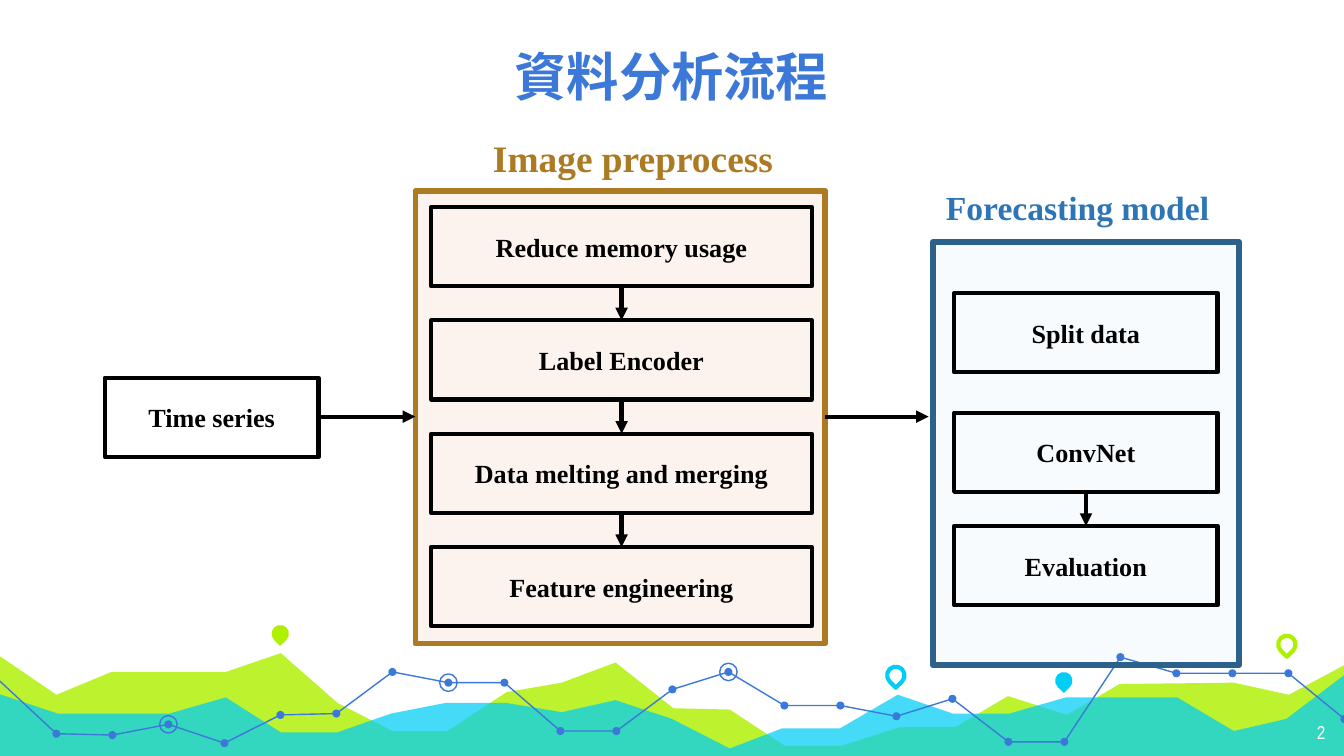
"""Build the data analysis workflow slide."""
from lxml import etree
from pptx import Presentation
from pptx.dml.color import RGBColor
from pptx.enum.shapes import MSO_CONNECTOR, MSO_SHAPE
from pptx.enum.text import MSO_ANCHOR, PP_ALIGN
from pptx.oxml.ns import qn
from pptx.util import Inches, Pt

RECT, OVAL, DROP = MSO_SHAPE.RECTANGLE, MSO_SHAPE.OVAL, MSO_SHAPE.TEAR
STRAIGHT = MSO_CONNECTOR.STRAIGHT
LEFT, CENTER, RIGHT = PP_ALIGN.LEFT, PP_ALIGN.CENTER, PP_ALIGN.RIGHT
TOP, MIDDLE, BOTTOM = MSO_ANCHOR.TOP, MSO_ANCHOR.MIDDLE, MSO_ANCHOR.BOTTOM

THEME = {
    "black": "000000", "white": "FFFFFF", "blue": "3C78D8",
    "lime": "AFF000", "cyan": "00CEF6",
    "gold": "AB7A22", "gold_tint": "E5774B",
    "navy": "2B618B", "navy_tint": "40A0F0", "model": "2E75B6",
    "cjk": "Noto Sans CJK SC", "serif": "Times New Roman", "narrow": "Arial Narrow",
    "title": 28, "head": 20, "subhead": 18, "body": 14, "number": 10,
    "thin": 0.75, "line": 2.25, "frame": 3,
}
W = 10
H = W * 9 / 16

TEXTS = [
    ("資料分析流程", (0.13, 0.2, 9.73, 0.7), "cjk", "title", "blue", True, CENTER, BOTTOM, 0.1, True),
    ("2", (9.36, 5.28, 0.6, 0.35), "narrow", "number", "white", False, RIGHT, TOP, 0.1, True),
    ("Image preprocess", (3.57, 0.96, 2.34, 0.44), "serif", "head", "gold", True, LEFT, TOP, 0.05, True),
    ("Forecasting model", (6.94, 1.34, 2.19, 0.4), "serif", "subhead", "model", True, LEFT, TOP, 0.05, False),
]
PANELS = [
    ((3.09, 1.42, 3.05, 3.37), "gold_tint", 9, "gold"),
    ((6.94, 1.8, 2.28, 3.15), "navy_tint", 4, "navy"),
]
BOX_H, PITCH = 0.59, 2.53 / 3
STACKS = [
    (0.78, 2.81, 1.59, ["Time series"]),
    (3.21, 1.54, 2.83, ["Reduce memory usage", "Label Encoder",
                        "Data melting and merging", "Feature engineering"]),
    (7.1, 2.18, 1.96, ["Split data"]),
    (7.1, 3.07, 1.96, ["ConvNet", "Evaluation"]),
]
FLOWS = [((2.37, 3.1), (3.09, 3.1)), ((6.14, 3.1), (6.91, 3.1))]

HILLS = [
    ("lime", 82, [
        (-0.02, 4.87), (0.42, 5.17), (0.83, 5), (1.68, 5), (2.09, 4.86), (2.51, 5.23),
        (2.92, 5.44), (3.33, 5.44), (3.77, 5.15), (4.18, 5.08), (4.58, 4.93), (5.01, 5.27),
        (5.43, 5.28), (5.84, 5.55), (6.26, 5.55), (6.7, 5.41), (7.11, 5.41), (7.5, 5.18),
        (7.94, 5.32), (8.33, 5.09), (9.18, 5.08), (9.59, 5.17), (10.02, 4.94),
        (10.01, 5.64), (-0.03, 5.64)]),
    ("cyan", 73, [
        (-0.02, 5.16), (0.43, 5.31), (1.26, 5.31), (1.68, 5.19), (2.09, 5.45), (2.51, 5.45),
        (2.91, 5.31), (3.32, 5.23), (3.76, 5.23), (4.18, 5.3), (4.58, 5.21), (5, 5.35),
        (5.43, 5.57), (5.82, 5.42), (6.25, 5.42), (6.68, 5.17), (7.09, 5.31), (7.51, 5.31),
        (7.93, 5.19), (8.76, 5.19), (9.18, 5.44), (9.57, 5.35), (10.02, 5.01),
        (10.02, 5.65), (-0.03, 5.65)]),
]
TREND_START = (-0.01, 5.06)
TREND = [5.46, 5.47, 5.39, 5.53, 5.32, 5.31, 5, 5.08, 5.08, 5.44, 5.44, 5.13,
         5, 5.25, 5.25, 5.33, 5.2, 5.52, 5.52, 4.89, 5.01, 5.01, 5.01, 5.35]
TREND_X, TREND_STEP = 0.42, 5 / 12
BREAKS = [0, 11, 20, 24]
RINGED = [2, 7, 12]
DOT, MARK = 0.06, 0.13
DROPS = [
    (2.02, 4.65, "lime", True), (6.6, 4.96, "cyan", False),
    (7.85, 5, "cyan", True), (9.51, 4.73, "lime", False),
]

prs = Presentation()
prs.slide_width, prs.slide_height = Inches(W), Inches(H)
shapes = prs.slides.add_slide(prs.slide_layouts[6]).shapes


def rgb(name):
    return RGBColor.from_string(THEME[name])


def paint(sp, fill=None, alpha=100, line=None, width="line"):
    sp.shadow.inherit = False
    if fill:
        sp.fill.solid()
        sp.fill.fore_color.rgb = rgb(fill)
        if alpha < 100:
            color = sp.fill._xPr.find(qn("a:solidFill"))[0]
            etree.SubElement(color, qn("a:alpha"), val=str(alpha * 1000))
    else:
        sp.fill.background()
    if line:
        sp.line.color.rgb = rgb(line)
        sp.line.width = Pt(THEME[width])
    else:
        sp.line.fill.background()
    return sp


def add(kind, box, **style):
    return paint(shapes.add_shape(kind, *map(Inches, box)), **style)


def outline(points, closed, **style):
    pts = [(Inches(x), Inches(y)) for x, y in points]
    fb = shapes.build_freeform(*pts[0])
    fb.add_line_segments(pts[1:], close=closed)
    return paint(fb.convert_to_shape(), **style)


def write(sp, text, font, size, color, bold, align, anchor, inset=0.05, wrap=True):
    tf = sp.text_frame
    tf.word_wrap, tf.vertical_anchor = wrap, anchor
    tf.margin_top = tf.margin_bottom = Inches(inset)
    p = tf.paragraphs[0]
    p.alignment = align
    r = p.add_run()
    r.text = text
    r.font.name, r.font.size, r.font.bold = THEME[font], Pt(THEME[size]), bold
    r.font.color.rgb = rgb(color)
    etree.SubElement(r.font._element, qn("a:ea"), typeface=THEME[font])


def arrow(start, end):
    cn = shapes.add_connector(STRAIGHT, *map(Inches, start + end))
    cn.line.color.rgb = rgb("black")
    cn.line.width = Pt(THEME["line"])
    etree.SubElement(cn.line._get_or_add_ln(), qn("a:tailEnd"), type="triangle")
    etree.SubElement(cn._element.spPr, qn("a:effectLst"))


def around(center, size):
    return center[0] - size / 2, center[1] - size / 2, size, size


for color, alpha, points in HILLS:
    outline(points, True, fill=color, alpha=alpha)

dots = [(TREND_X + i * TREND_STEP, y) for i, y in enumerate(TREND)]
for first, last in zip(BREAKS, BREAKS[1:]):
    before = dots[first - 1] if first else TREND_START
    outline([before] + dots[first:last], False, line="blue", width="thin")
for dot in dots:
    add(OVAL, around(dot, DOT), fill="blue")
for i in RINGED:
    add(OVAL, around(dots[i], MARK), line="blue", width="thin")
for x, y, color, solid in DROPS:
    style = {"fill": color} if solid else {"line": color}
    add(DROP, (x, y, MARK, MARK), **style).rotation = 135

for box, tint, alpha, edge in PANELS:
    add(RECT, box, fill=tint, alpha=alpha, line=edge, width="frame")
for x, y, w, labels in STACKS:
    for i, label in enumerate(labels):
        top = y + i * PITCH
        sp = add(RECT, (x, top, w, BOX_H), line="black")
        write(sp, label, "serif", "body", "black", True, CENTER, MIDDLE)
        if i:
            arrow((x + w / 2, top - PITCH + BOX_H), (x + w / 2, top))
for start, end in FLOWS:
    arrow(start, end)
for text, box, *style in TEXTS:
    write(shapes.add_textbox(*map(Inches, box)), text, *style)

prs.save("out.pptx")
